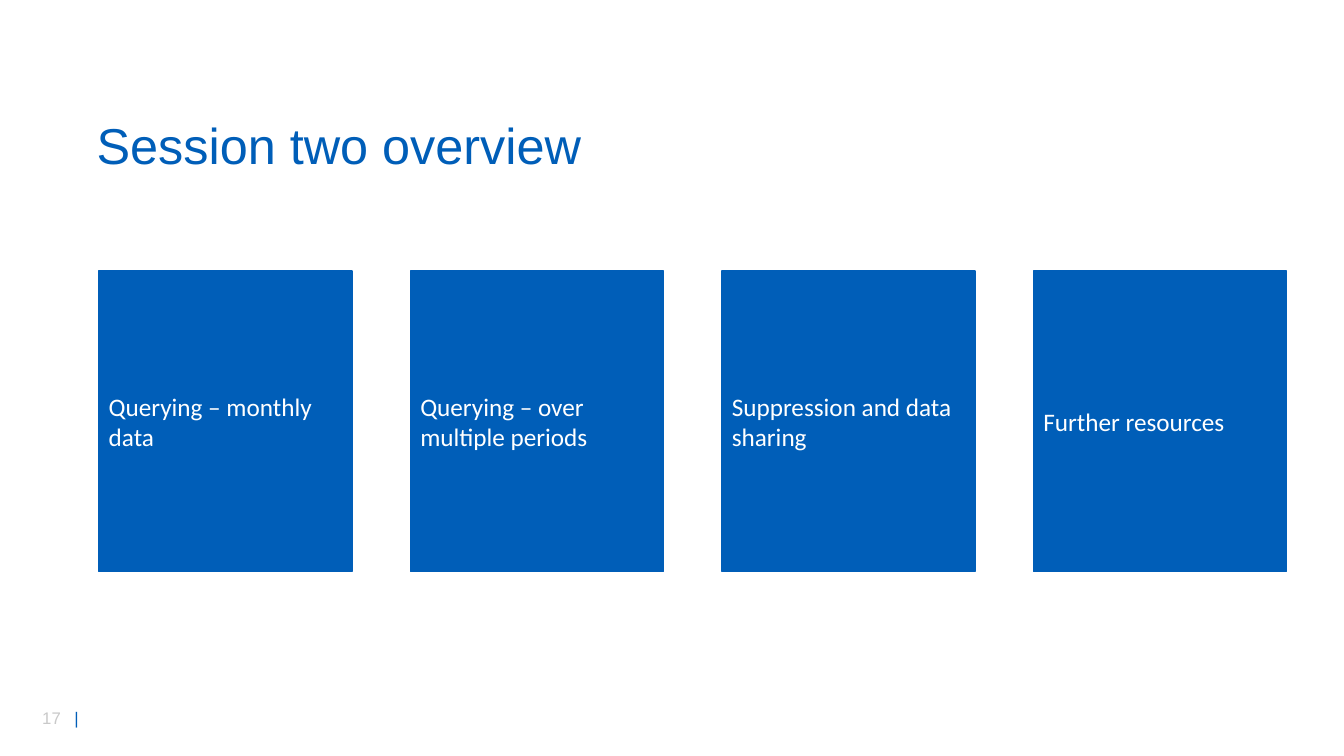
from lxml import etree
from pptx import Presentation
from pptx import util as u
from pptx.dml.color import RGBColor
from pptx.enum import shapes, text
from pptx.oxml.ns import qn

BLUE = RGBColor(0x00, 0x5E, 0xB8)
GREY = RGBColor(0xC9, 0xC9, 0xC9)
WHITE = RGBColor(0xFF, 0xFF, 0xFF)

TITLE = "Session two overview"
TOPICS = [
    "Querying – monthly data",
    "Querying – over multiple periods",
    "Suppression and data sharing",
    "Further resources",
]
PAGE_NUMBER = [("17\t", GREY), ("|", BLUE)]

CARD_LEFT, CARD_TOP = 0.98, 2.69
CARD_WIDTH, CARD_HEIGHT = 2.51, 2.98
CARD_STEP = 3.09
NUMBER_TAB = 0.32


def style(para, font_name, size, color=None):
    para.alignment = text.PP_ALIGN.LEFT
    para.font.name = font_name
    para.font.size = u.Pt(size)
    if color is not None:
        para.font.color.rgb = color


def add_text_box(page, left, top, width, height):
    box = page.shapes.add_textbox(*map(u.Inches, (left, top, width, height)))
    box.text_frame.word_wrap = True
    return box.text_frame


def add_card(page, column, topic):
    left = CARD_LEFT + column * CARD_STEP
    card = page.shapes.add_shape(
        shapes.MSO_SHAPE.RECTANGLE,
        *map(u.Inches, (left, CARD_TOP, CARD_WIDTH, CARD_HEIGHT)))
    card.shadow.inherit = False
    card.fill.solid()
    card.fill.fore_color.rgb = BLUE
    card.line.color.rgb = BLUE
    card.line.width = u.Pt(1)
    frame = card.text_frame
    frame.word_wrap = True
    frame.vertical_anchor = text.MSO_ANCHOR.MIDDLE
    frame.text = topic
    style(frame.paragraphs[0], "Calibri", 18, WHITE)


deck = Presentation()
deck.slide_width, deck.slide_height = u.Inches(13.33), u.Inches(7.5)
page = deck.slides.add_slide(deck.slide_layouts[6])

number = add_text_box(page, 0.32, 6.97, 0.71, 0.3).paragraphs[0]
tabs = etree.SubElement(number._p.get_or_add_pPr(), qn("a:tabLst"))
etree.SubElement(tabs, qn("a:tab"), pos=str(u.Inches(NUMBER_TAB)), algn="l")
style(number, "Arial", 12)
for part, color in PAGE_NUMBER:
    span = number.add_run()
    span.text = part
    span.font.color.rgb = color

title = add_text_box(page, 0.86, 1.14, 11.64, 0.67)
title.vertical_anchor = text.MSO_ANCHOR.MIDDLE
title.text = TITLE
title.paragraphs[0].line_spacing = 0.9
style(title.paragraphs[0], "Arial", 36, BLUE)

for column, topic in enumerate(TOPICS):
    add_card(page, column, topic)

deck.save("out.pptx")
